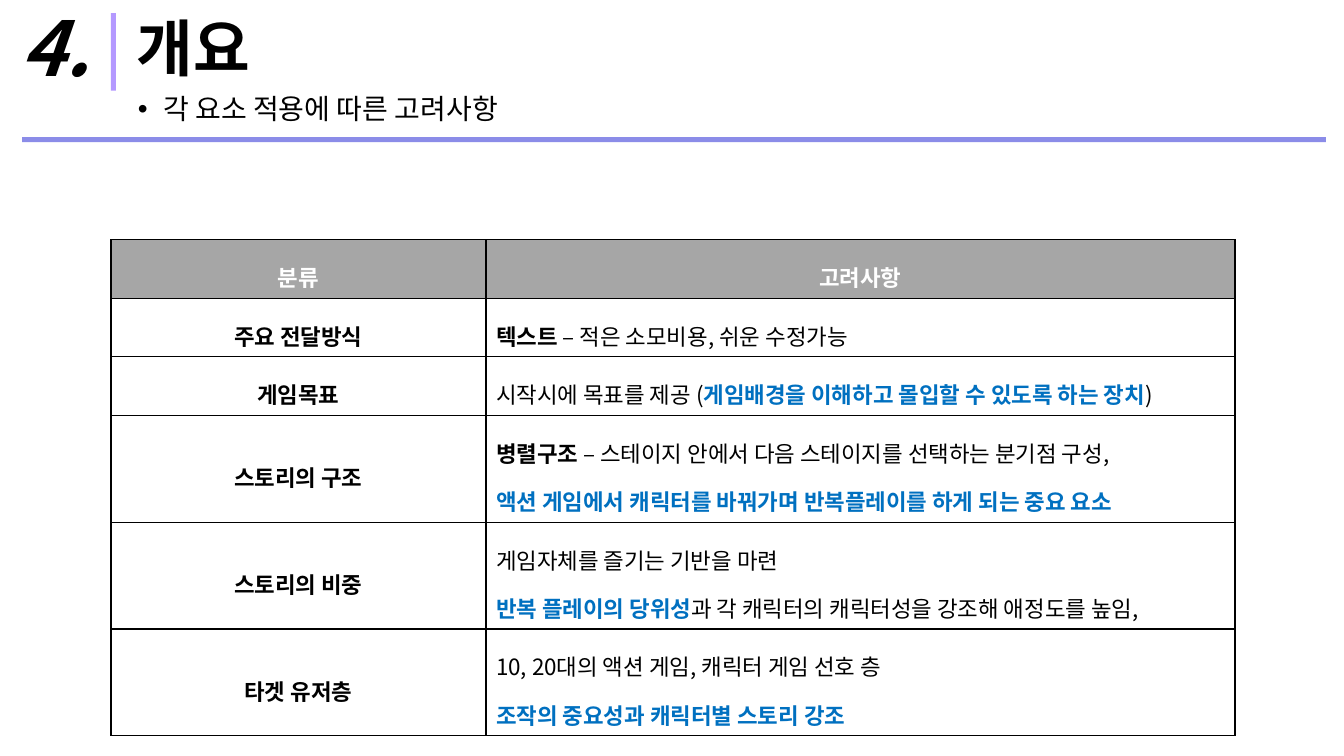
import pptx
import pptx.dml.color
import pptx.enum.shapes
import pptx.enum.text
import pptx.oxml.ns
import pptx.util
from lxml import etree

Inches = pptx.util.Inches
Pt = pptx.util.Pt
RGBColor = pptx.dml.color.RGBColor
Align = pptx.enum.text.PP_ALIGN
Anchor = pptx.enum.text.MSO_ANCHOR
qn = pptx.oxml.ns.qn

BLACK = RGBColor(0x00, 0x00, 0x00)
WHITE = RGBColor(0xFF, 0xFF, 0xFF)
GRAY = RGBColor(0xA6, 0xA6, 0xA6)
BLUE = RGBColor(0x00, 0x70, 0xC0)
LILAC = RGBColor(0xB4, 0x99, 0xFF)
PERIWINKLE = RGBColor(0x8B, 0x8C, 0xE8)

PLAIN = (BLACK, False)
STRONG = (BLACK, True)
KEY = (BLUE, True)
HEADER = (WHITE, True)

CONSIDERATIONS = [
    ("주요 전달방식", [[("텍스트 ", STRONG), ("– 적은 소모비용, 쉬운 수정가능", PLAIN)]]),
    ("게임목표", [[("시작시에 목표를 제공 (", PLAIN),
               ("게임배경을 이해하고 몰입할 수 있도록 하는 장치", KEY), (")", PLAIN)]]),
    ("스토리의 구조", [[("병렬구조 ", STRONG),
                  ("– 스테이지 안에서 다음 스테이지를 선택하는 분기점 구성,", PLAIN)],
                 [("액션 게임에서 캐릭터를 바꿔가며 반복플레이를 하게 되는 중요 요소", KEY)]]),
    ("스토리의 비중", [[("게임자체를 즐기는 기반을 마련", PLAIN)],
                 [("반복 플레이의 당위성", KEY),
                  ("과 각 캐릭터의 캐릭터성을 강조해 애정도를 높임,", PLAIN)]]),
    ("타겟 유저층", [[("10, 20대의 액션 게임, 캐릭터 게임 선호 층", PLAIN)],
                [("조작의 중요성과 캐릭터별 스토리 강조", KEY)]]),
]


class SlideBuilder:
    font = "Noto Sans CJK KR"
    cell_size = 16

    def __init__(self, slide):
        self.slide = slide

    def bar(self, left, top, width, height, color):
        bar = self.slide.shapes.add_shape(
            pptx.enum.shapes.MSO_SHAPE.RECTANGLE,
            Inches(left), Inches(top), Inches(width), Inches(height))
        bar.shadow.inherit = False
        bar.fill.solid()
        bar.fill.fore_color.rgb = color
        bar.line.fill.background()

    def run(self, paragraph, text, size, style, italic=False):
        run = paragraph.add_run()
        run.text = text
        color, bold = style
        run.font.size = Pt(size)
        run.font.bold = bold
        run.font.italic = italic
        run.font.color.rgb = color
        run.font.name = self.font
        east_asian = etree.SubElement(run.font._element, qn("a:ea"))
        east_asian.set("typeface", self.font)

    def text(self, left, top, width, height, text, size, style,
             align=Align.LEFT, italic=False, bullet=False):
        box = self.slide.shapes.add_textbox(
            Inches(left), Inches(top), Inches(width), Inches(height))
        frame = box.text_frame
        frame.word_wrap = True
        frame.vertical_anchor = Anchor.MIDDLE
        paragraph = frame.paragraphs[0]
        if bullet:
            properties = paragraph._p.get_or_add_pPr()
            properties.set("marL", str(Inches(0.25)))
            properties.set("indent", str(Inches(-0.25)))
            etree.SubElement(properties, qn("a:buFont")).set("typeface", "Arial")
            etree.SubElement(properties, qn("a:buChar")).set("char", "•")
        paragraph.alignment = align
        paragraph.line_spacing = 0.9
        self.run(paragraph, text, size, style, italic)

    def cell(self, cell, lines, align, fill=None):
        properties = cell._tc.get_or_add_tcPr()
        for side in ("lnL", "lnR", "lnT", "lnB"):
            border = etree.SubElement(properties, qn(f"a:{side}"), w=str(Pt(1)))
            solid = etree.SubElement(border, qn("a:solidFill"))
            etree.SubElement(solid, qn("a:srgbClr"), val=str(BLACK))
        if fill is None:
            cell.fill.background()
        else:
            cell.fill.solid()
            cell.fill.fore_color.rgb = fill
        cell.vertical_anchor = Anchor.MIDDLE
        for index, runs in enumerate(lines):
            frame = cell.text_frame
            paragraph = frame.add_paragraph() if index else frame.paragraphs[0]
            paragraph.alignment = align
            paragraph.line_spacing = 1.5
            for text, style in runs:
                self.run(paragraph, text, self.cell_size, style)

    def table(self, left, top, widths, headings, entries):
        heights = [0.58] + [0.58 if len(lines) == 1 else 1.06 for _, lines in entries]
        table = self.slide.shapes.add_table(
            len(heights), len(widths), Inches(left), Inches(top),
            Inches(sum(widths)), Inches(sum(heights))).table
        for column, width in zip(table.columns, widths):
            column.width = Inches(width)
        for row, height in zip(table.rows, heights):
            row.height = Inches(height)
        for column, heading in enumerate(headings):
            self.cell(table.cell(0, column), [[(heading, HEADER)]], Align.CENTER, GRAY)
        for row, (category, lines) in enumerate(entries, 1):
            self.cell(table.cell(row, 0), [[(category, STRONG)]], Align.CENTER)
            self.cell(table.cell(row, 1), lines, Align.LEFT)


def main():
    presentation = pptx.Presentation()
    presentation.slide_width = Inches(13.33)
    presentation.slide_height = Inches(7.5)
    builder = SlideBuilder(presentation.slides.add_slide(presentation.slide_layouts[6]))
    builder.bar(1.1, 0.13, 0.05, 0.77, LILAC)
    builder.bar(0.22, 1.36, 12.93, 0.05, PERIWINKLE)
    builder.text(1.26, 0.13, 11.15, 0.77, "개요", 44, STRONG)
    builder.text(1.27, 0.91, 11.15, 0.37, "각 요소 적용에 따른 고려사항", 20, PLAIN, bullet=True)
    builder.text(0, 0.13, 1.1, 0.78, "4.", 54, STRONG, Align.CENTER, italic=True)
    builder.table(1.1, 2.38, (3.72, 7.43), ("분류", "고려사항"), CONSIDERATIONS)
    presentation.save("out.pptx")


if __name__ == "__main__":
    main()
